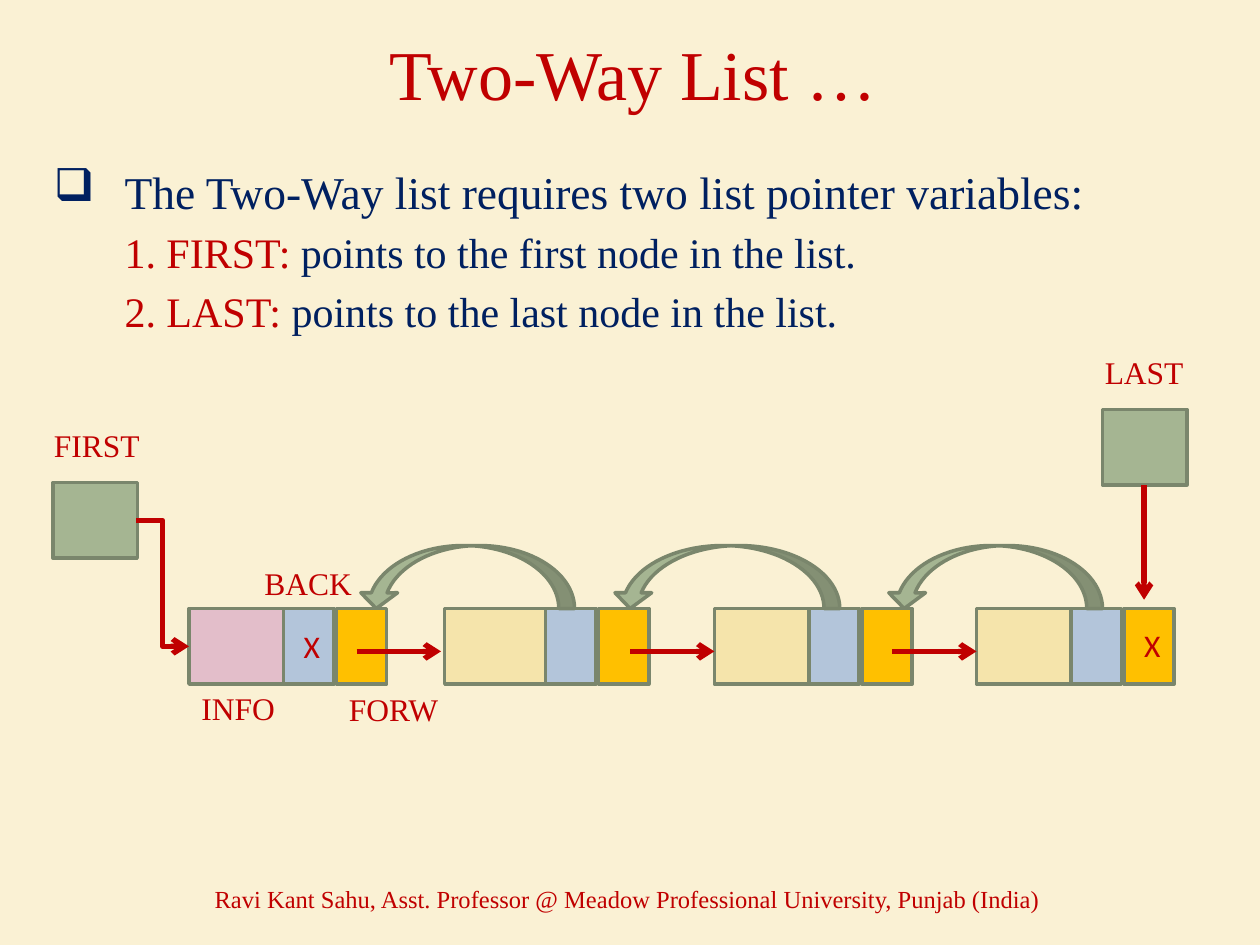
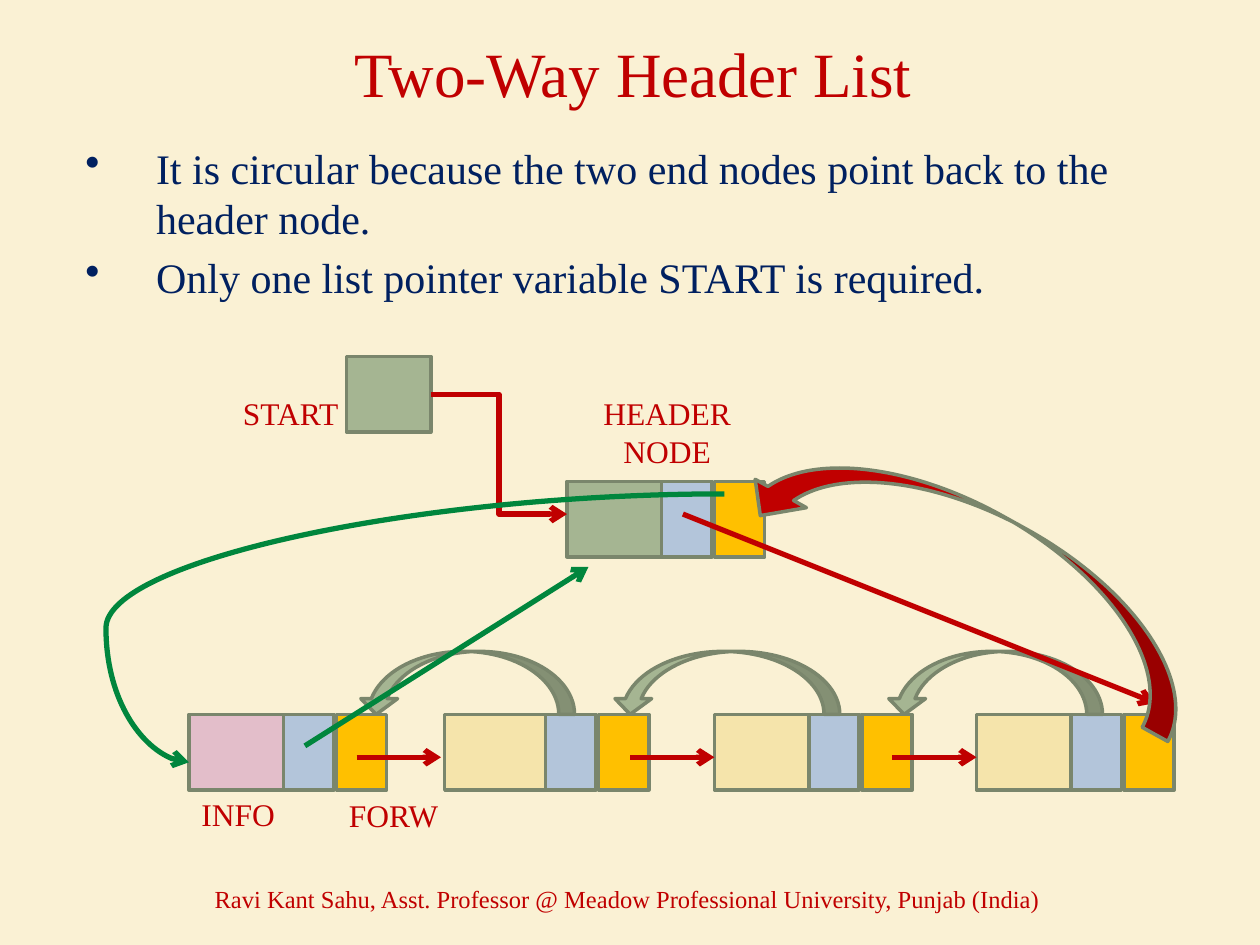
"""Builds two slides on two-way linked lists."""
from pptx import Presentation
from pptx import util as u
from pptx.dml import color
from pptx.enum import shapes, text
from pptx.oxml import ns, xmlchemy

CREAM = color.RGBColor(0xFA, 0xF1, 0xD4)
RED = color.RGBColor(0xC0, 0x00, 0x00)
NAVY = color.RGBColor(0x00, 0x20, 0x60)
GREEN = color.RGBColor(0x00, 0x86, 0x3D)
SAGE = color.RGBColor(0xA5, 0xB5, 0x92)
OUTLINE = color.RGBColor(0x7A, 0x86, 0x6C)
PINK = color.RGBColor(0xE3, 0xBE, 0xCA)
SAND = color.RGBColor(0xF5, 0xE4, 0xAB)
BLUE = color.RGBColor(0xB3, 0xC5, 0xDA)
GOLD = color.RGBColor(0xFF, 0xC0, 0x00)

SERIF = "Times New Roman"
FOOTER = "Ravi Kant Sahu, Asst. Professor @ Meadow Professional University, Punjab (India)"
HANG = 0.56
NODE_LEFTS = (1.5, 3.53, 5.67, 7.75)
BACK_LEFTS = (2.25, 4.33, 6.42, 8.5)
FORWARD_STARTS = (2.83, 5, 7.08)
BACK_ARCS = ((3.7, 1.72), (5.76, 1.81), (7.89, 1.72))


class Deck:
    def __init__(self):
        self.show = Presentation()
        self.show.slide_width = u.Inches(10)
        self.show.slide_height = u.Inches(7.5)
        background = self.show.slide_master.background.fill
        background.solid()
        background.fore_color.rgb = CREAM
        self.slide = None

    def start(self, title, size):
        self.slide = self.show.slides.add_slide(self.show.slide_layouts[6])
        for wording, points, place in (
            (title, size, (0.55, 0, 8.95, 1.15)),
            (FOOTER, 14, (0.83, 6.93, 8.3, 0.4)),
        ):
            frame = self.frame(*place)
            frame.vertical_anchor = text.MSO_ANCHOR.MIDDLE
            frame.paragraphs[0].alignment = text.PP_ALIGN.CENTER
            self.run(frame.paragraphs[0], wording, points, RED)

    def frame(self, left, top, width, height):
        box = self.slide.shapes.add_textbox(*map(u.Inches, (left, top, width, height)))
        box.text_frame.word_wrap = True
        return box.text_frame

    def run(self, paragraph, wording, size, ink, font=SERIF):
        piece = paragraph.add_run()
        piece.text = wording
        piece.font.size = u.Pt(size)
        piece.font.name = font
        piece.font.color.rgb = ink

    def label(self, wording, left, top, width, height=0.4, align=text.PP_ALIGN.LEFT):
        paragraph = self.frame(left, top, width, height).paragraphs[0]
        paragraph.alignment = align
        self.run(paragraph, wording, 18, RED)

    def null_mark(self, left, top):
        frame = self.frame(left, top, 0.4, 0.4)
        frame.margin_left = u.Inches(0.16)
        frame.margin_right = 0
        self.run(frame.paragraphs[0], "X", 18, RED, "Calibri")

    def body(self, place, points):
        frame = self.frame(*place)
        for index, (bullet, size, pieces) in enumerate(points):
            paragraph = frame.add_paragraph() if index else frame.paragraphs[0]
            paragraph.space_before = u.Pt(size * 0.2)
            for wording, ink in pieces:
                self.run(paragraph, wording, size, ink)
            properties = paragraph._p.get_or_add_pPr()
            properties.set("marL", str(u.Inches(HANG)))
            if bullet:
                properties.set("indent", str(-u.Inches(HANG)))
                xmlchemy.OxmlElement("a:buChar")
                mark = properties.makeelement(ns.qn("a:buChar"), {"char": bullet})
                properties.append(mark)

    def block(self, left, top, width, height, fill, kind=shapes.MSO_SHAPE.RECTANGLE):
        piece = self.slide.shapes.add_shape(
            kind, *map(u.Inches, (left, top, width, height)))
        piece.shadow.inherit = False
        piece.fill.solid()
        piece.fill.fore_color.rgb = fill
        piece.line.color.rgb = OUTLINE
        piece.line.width = u.Pt(2)
        return piece

    def pointer_box(self, left, top):
        self.block(left, top, 0.67, 0.6, SAGE)

    def node(self, left, back_left, top, fill):
        self.block(left, top, 0.8, 0.6, fill)
        self.block(back_left, top, 0.4, 0.6, BLUE)
        self.block(back_left + 0.42, top, 0.4, 0.6, GOLD)

    def arrow(self, start, end, ink=RED, kind=shapes.MSO_CONNECTOR.STRAIGHT, bend=None):
        link = self.slide.shapes.add_connector(kind, *map(u.Inches, (*start, *end)))
        link.line.color.rgb = ink
        link.line.width = u.Pt(3)
        outline = link.line._get_or_add_ln()
        outline.append(outline.makeelement(ns.qn("a:tailEnd"), {"type": "arrow"}))
        properties = link._element.spPr
        properties.append(xmlchemy.OxmlElement("a:effectLst"))
        if bend is not None:
            guides = properties.find(ns.qn("a:prstGeom")).get_or_add_avLst()
            guides.append(guides.makeelement(
                ns.qn("a:gd"), {"name": "adj1", "fmla": f"val {round(bend * 100000)}"}))

    def back_arc(self, centre, middle, span):
        arc = self.block(centre - 0.25, middle - span / 2, 0.5, span, SAGE,
                         shapes.MSO_SHAPE.CURVED_RIGHT_ARROW)
        arc.rotation = 90
        for index, value in enumerate((0.25, 0.583, 0.25)):
            arc.adjustments[index] = value

    def chain(self, top):
        for index, (left, back_left) in enumerate(zip(NODE_LEFTS, BACK_LEFTS)):
            self.node(left, back_left, top, SAND if index else PINK)
        for start in FORWARD_STARTS:
            self.arrow((start, top + 0.34), (start + 0.67, top + 0.34))
        for centre, span in BACK_ARCS:
            self.back_arc(centre, top - 0.25, span)
        self.label("INFO", 1.5, top + 0.59, 0.83)
        self.label("FORW", 2.67, top + 0.6, 0.92)


def two_way_list(deck):
    deck.start("Two-Way List …", 40)
    deck.body((0.33, 1.25, 9.42, 5.75), (
        ("❑", 26, (("The Two-Way list requires two list pointer variables:", NAVY),)),
        (None, 24, (("1. FIRST: ", RED), ("points to the first node in the list.", NAVY))),
        (None, 24, (("2. LAST: ", RED), ("points to the last node in the list.", NAVY))),
    ))
    row = 4.83
    deck.chain(row)
    deck.label("BACK", 2, row - 0.4, 1.33)
    deck.null_mark(2.25, row + 0.1)
    deck.null_mark(8.92, row + 0.09)
    deck.label("FIRST", 0.33, 3.33, 1.33)
    deck.pointer_box(0.42, 3.83)
    deck.arrow((1.08, 4.13), (1.5, 5.13), kind=shapes.MSO_CONNECTOR.ELBOW)
    deck.label("LAST", 8.67, 2.75, 1.33)
    deck.pointer_box(8.75, 3.25)
    deck.arrow((9.08, 3.85), (9.08, 4.76))


def two_way_header_list(deck):
    deck.start("Two-Way Header List", 36)
    deck.body((0.58, 1.08, 8.92, 5.75), [("•", 24, ((wording, NAVY),)) for wording in (
        "It is circular because the two end nodes point back to the header node.",
        "Only one list pointer variable START is required.",
    )])
    deck.chain(5.67)
    deck.label("START", 1.83, 3.08, 1.33)
    deck.pointer_box(2.75, 2.83)
    deck.label("HEADER NODE", 4.67, 3.08, 1.25, 0.71, text.PP_ALIGN.CENTER)
    deck.node(4.5, 5.25, 3.82, SAGE)
    deck.arrow((3.42, 3.13), (4.5, 4.08), kind=shapes.MSO_CONNECTOR.ELBOW)
    deck.arrow((5.75, 3.92), (1.5, 6.05), GREEN, shapes.MSO_CONNECTOR.CURVE, 1.155)
    deck.arrow((2.42, 5.92), (4.67, 4.5), GREEN)
    deck.arrow((5.42, 4.08), (9.17, 5.58))
    return_arc = deck.block(5.81, 4.06, 3.93, 0.93, RED, shapes.MSO_SHAPE.CURVED_UP_ARROW)
    return_arc.rotation = 209


deck = Deck()
two_way_list(deck)
two_way_header_list(deck)
deck.show.save("out.pptx")
